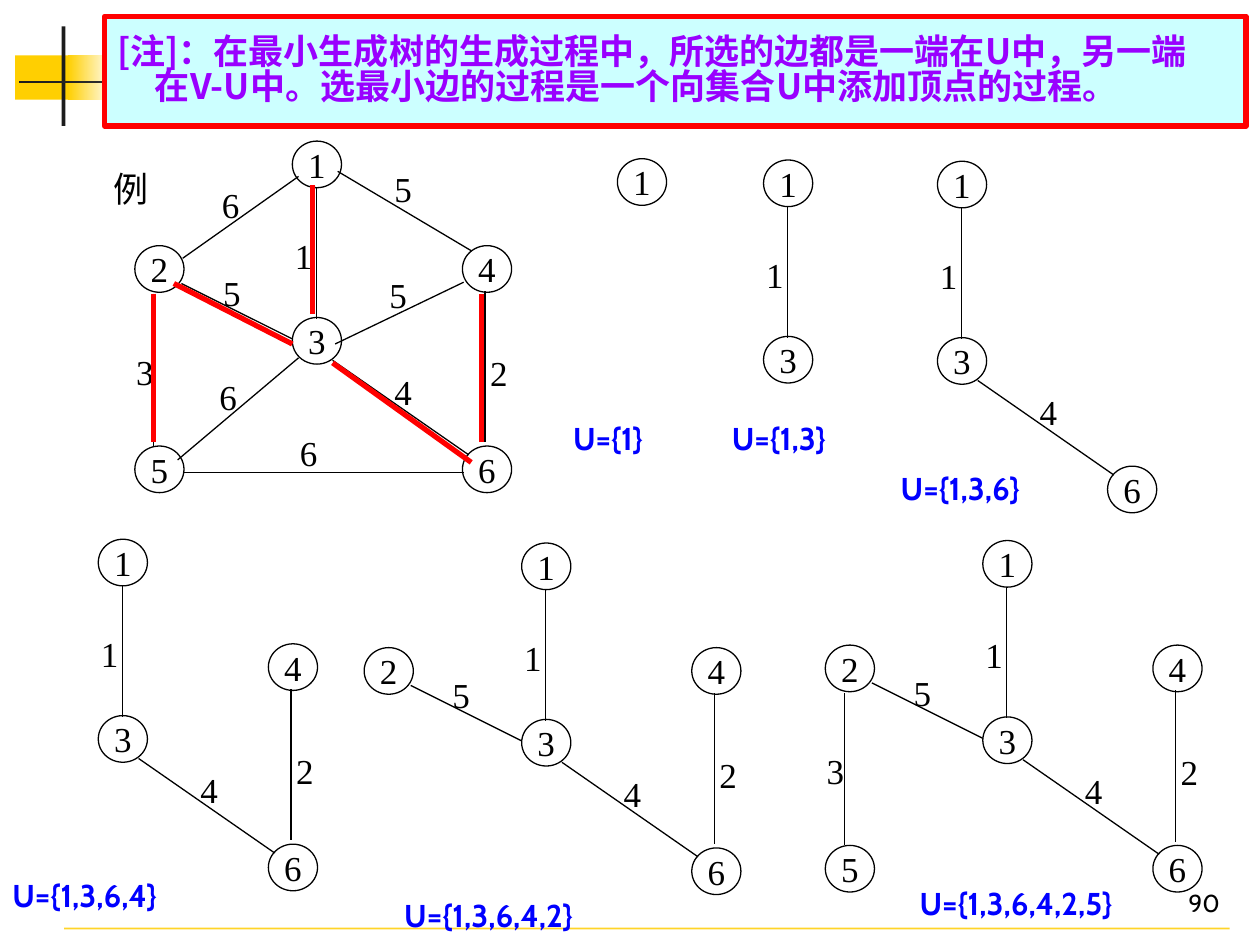
from dataclasses import dataclass

from lxml.etree import SubElement
from pptx import Presentation
from pptx.dml.color import RGBColor
from pptx.enum.shapes import MSO_CONNECTOR, MSO_SHAPE
from pptx.enum.text import MSO_ANCHOR, MSO_AUTO_SIZE, PP_ALIGN
from pptx.oxml.ns import qn
from pptx.util import Inches, Pt


@dataclass(frozen=True)
class Theme:
    black: str = "000000"
    charcoal: str = "1C1C1C"
    white: str = "FFFFFF"
    gold: str = "FFCF01"
    footer: str = "FFCC00"
    red: str = "FF0000"
    blue: str = "0000FF"
    purple: str = "9900FF"
    cyan: str = "CCFFFF"
    serif: str = "Times New Roman"
    sans: str = "Cabin"
    chinese: str = "Noto Sans CJK SC"
    large: int = 20
    medium: int = 18
    small: int = 14
    thin: float = 0.75
    thick: float = 3


theme = Theme()
presentation = Presentation()
presentation.slide_width = Inches(10)
presentation.slide_height = Inches(7.5)
slide = presentation.slides.add_slide(presentation.slide_layouts[5])
shapes = slide.shapes


def write(shape, text, *, font=theme.serif, size=theme.large, color=theme.black, bold=False,
          align=PP_ALIGN.CENTER, anchor=MSO_ANCHOR.MIDDLE, wrap=False,
          fit=MSO_AUTO_SIZE.NONE, spacing=None):
    frame = shape.text_frame
    frame.text = text
    frame.word_wrap = wrap
    frame.auto_size = fit
    frame.vertical_anchor = anchor
    for paragraph in frame.paragraphs:
        paragraph.alignment = align
        paragraph.line_spacing = spacing
        for run in paragraph.runs:
            run.font.size = Pt(size)
            run.font.bold = bold
            run.font.color.rgb = RGBColor.from_string(color)
            run.font.name = font
            SubElement(run.font._element, qn("a:ea"), typeface=theme.chinese)


def add_line(x1, y1, x2, y2, color=theme.black, width=theme.thin):
    line = shapes.add_connector(MSO_CONNECTOR.STRAIGHT, *map(Inches, (x1, y1, x2, y2)))
    line.line.color.rgb = RGBColor.from_string(color)
    line.line.width = Pt(width)
    SubElement(line.element.spPr, qn("a:effectLst"))
    return line


# Corner ornament: solid and fading bars
for box, start, end in [
    ((0.12, 0.44, 0.48, 0.35), theme.gold, None),
    ((0.54, 0.44, 0.36, 0.35), theme.gold, theme.white),
    ((0.49, 0.21, 0.03, 0.79), theme.charcoal, None),
    ((0.15, 0.64, 9, 0.02), theme.charcoal, theme.white),
]:
    bar = shapes.add_shape(MSO_SHAPE.RECTANGLE, *map(Inches, box))
    bar.shadow.inherit = False
    bar.line.fill.background()
    if end:
        bar.fill.gradient()
        bar.fill.gradient_angle = 0
        for stop, color in zip(bar.fill.gradient_stops, (start, end)):
            stop.color.rgb = RGBColor.from_string(color)
    else:
        bar.fill.solid()
        bar.fill.fore_color.rgb = RGBColor.from_string(start)

footer_rule = add_line(0.51, 7.37, 9.76, 7.37, theme.footer, 1)
footer_color = footer_rule.element.spPr.find(".//" + qn("a:srgbClr"))
SubElement(footer_color, qn("a:alpha"), val="83000")

page_number = shapes.add_textbox(*map(Inches, (7.7, 6.83, 2.08, 0.5)))
write(page_number, "90", font=theme.sans, size=theme.small, align=PP_ALIGN.RIGHT,
      anchor=MSO_ANCHOR.BOTTOM, wrap=True)

# The note stands in front of the ornament
note = shapes.title
shapes.element.append(note.element)
note.left, note.top, note.width, note.height = map(Inches, (0.83, 0.13, 9.06, 0.87))
note.fill.solid()
note.fill.fore_color.rgb = RGBColor.from_string(theme.cyan)
note.line.color.rgb = RGBColor.from_string(theme.red)
note.line.width = Pt(theme.thick)
write(note, "[注]：在最小生成树的生成过程中，所选的边都是一端在U中，另一端\n"
            "在V-U中。选最小边的过程是一个向集合U中添加顶点的过程。",
      font=theme.chinese, color=theme.purple, bold=True, align=PP_ALIGN.LEFT, spacing=0.85)
second_line = note.text_frame.paragraphs[1]._p.get_or_add_pPr()
second_line.set("marL", str(Inches(0.3)))
second_line.set("indent", "0")

example = shapes.add_textbox(*map(Inches, (0.8, 1.28, 0.48, 0.43)))
write(example, "例", fit=MSO_AUTO_SIZE.SHAPE_TO_FIT_TEXT)

# Offsets from the top left corner of node 1
nodes = {1: (0, 0), 2: (-1.25, 0.83), 3: (0, 1.4),
         4: (1.35, 0.83), 5: (-1.25, 2.42), 6: (1.35, 2.42)}
# Edge: weight, line ends, corner of the weight label
edges = {
    (1, 3): (1, (0.19, 0.37, 0.19, 1.41), (-0.08, 0.69)),
    (1, 2): (6, (0.05, 0.28, -0.87, 0.93), (-0.66, 0.29)),
    (2, 5): (3, (-1.1, 1.21, -1.1, 2.42), (-1.34, 1.61)),
    (4, 6): (2, (1.53, 1.19, 1.53, 2.39), (1.47, 1.62)),
    (5, 6): (6, (-0.87, 2.63, 1.36, 2.63), (-0.04, 2.26)),
    (1, 4): (5, (0.36, 0.24, 1.42, 0.87), (0.71, 0.16)),
    (2, 3): (5, (-0.88, 1.13, 0, 1.57), (-0.65, 0.99)),
    (3, 4): (5, (1.36, 1.12, 0.34, 1.61), (0.67, 1)),
    (3, 5): (6, (0.05, 1.72, -0.91, 2.53), (-0.68, 1.81)),
    (3, 6): (4, (0.32, 1.74, 1.4, 2.49), (0.71, 1.77)),
}
# Full graph first, then the tree after each step of the algorithm
tree = [(1, 3), (3, 6), (4, 6), (2, 3), (2, 5)]
graphs = [((2.32, 1.12), list(edges))]
origins = [(4.9, 1.26), (6.06, 1.27), (7.44, 1.28), (0.78, 4.28), (4.14, 4.31), (7.8, 4.29)]
graphs += [(origin, tree[:step]) for step, origin in enumerate(origins)]

for (x, y), graph_edges in graphs:
    for node in sorted({1}.union(*graph_edges)):
        dx, dy = nodes[node]
        circle = shapes.add_shape(MSO_SHAPE.OVAL, *map(Inches, (x + dx, y + dy, 0.39, 0.37)))
        circle.shadow.inherit = False
        circle.fill.background()
        circle.line.color.rgb = RGBColor.from_string(theme.black)
        circle.line.width = Pt(theme.thin)
        write(circle, str(node))
    for edge in graph_edges:
        weight, (x1, y1, x2, y2), (dx, dy) = edges[edge]
        add_line(x + x1, y + y1, x + x2, y + y2)
        label = shapes.add_textbox(*map(Inches, (x + dx, y + dy, 0.34, 0.43)))
        write(label, str(weight), fit=MSO_AUTO_SIZE.SHAPE_TO_FIT_TEXT)

# Minimum spanning tree marked on the full graph
for ends in [(2.48, 1.47, 2.48, 2.49), (2.64, 2.88, 3.74, 3.67), (3.82, 3.51, 3.82, 2.33),
             (2.32, 2.73, 1.38, 2.25), (1.22, 2.33, 1.22, 3.51)]:
    add_line(*ends, theme.red, theme.thick)

# The set U grows by one vertex at each step
added = ["1", "3", "6", "4", "2", "5"]
captions = [(4.45, 3.28, 1.34), (5.71, 3.28, 1.34), (7.05, 3.67, 1.58),
            (0, 6.9, 2.13), (3.11, 7.06, 2.13), (7.2, 6.97, 2.13)]
for count, (left, top, width) in enumerate(captions, start=1):
    caption = shapes.add_textbox(*map(Inches, (left, top, width, 0.4)))
    write(caption, "U={" + ",".join(added[:count]) + "}", font=theme.sans, size=theme.medium,
          color=theme.blue, bold=True, align=PP_ALIGN.LEFT, anchor=MSO_ANCHOR.TOP,
          wrap=True, fit=MSO_AUTO_SIZE.SHAPE_TO_FIT_TEXT)

presentation.save("out.pptx")
